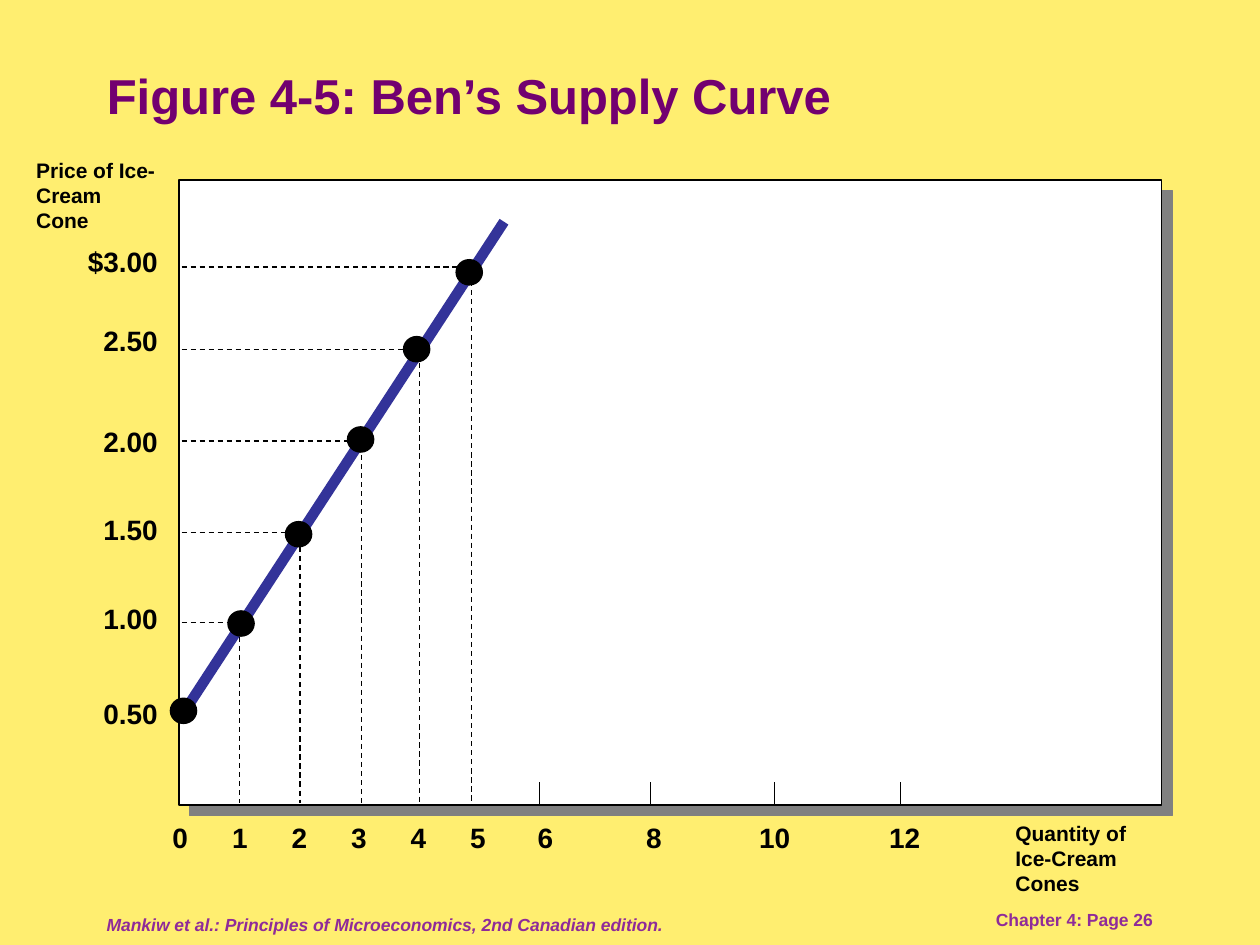
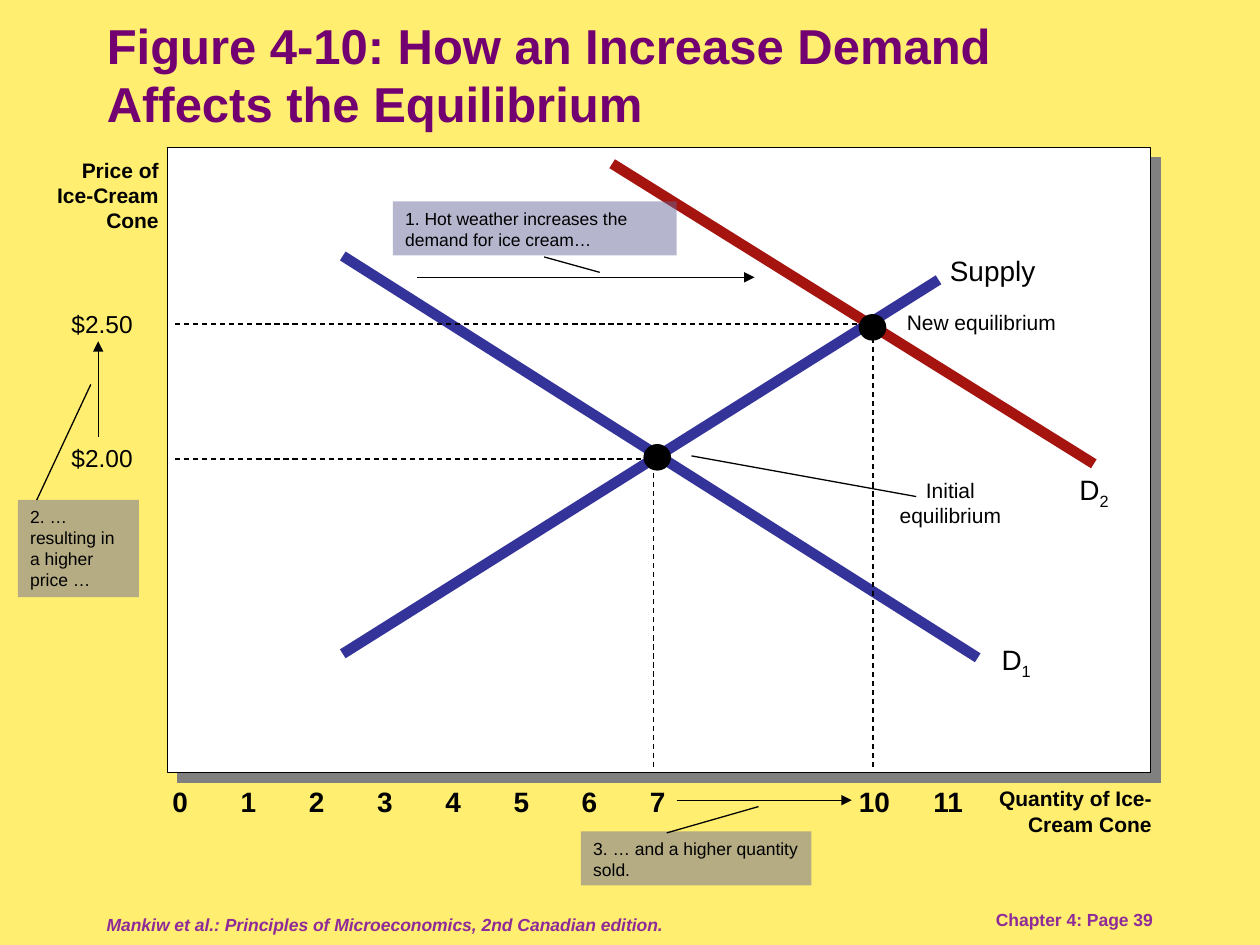
"""Build two economics slides: a supply curve and a shift in demand."""
from dataclasses import dataclass

from lxml.etree import SubElement
from pptx import Presentation
from pptx.dml.color import RGBColor as Rgb
from pptx.enum.dml import MSO_LINE_DASH_STYLE as Dash
from pptx.enum.shapes import MSO_CONNECTOR as Connector, MSO_SHAPE as Shape
from pptx.enum.text import MSO_ANCHOR as Anchor, MSO_AUTO_SIZE as AutoSize, PP_ALIGN as Align
from pptx.oxml import parse_xml
from pptx.oxml.ns import nsdecls, qn
from pptx.util import Cm, Pt


@dataclass(frozen=True)
class Theme:
    font: str = "Arial"
    page: Rgb = Rgb(0xFF, 0xEE, 0x70)
    title: Rgb = Rgb(0x72, 0x00, 0x70)
    footer: Rgb = Rgb(0x8F, 0x2B, 0x99)
    plot: Rgb = Rgb(0xFF, 0xFF, 0xFF)
    ink: Rgb = Rgb(0, 0, 0)
    curve: Rgb = Rgb(0x33, 0x33, 0x99)
    new_curve: Rgb = Rgb(0xA6, 0x14, 0x10)
    callout: Rgb = Rgb(0x66, 0x66, 0x99)
    title_size: int = 28
    label_size: int = 16
    price_size: int = 14
    axis_size: int = 12
    small_size: int = 10
    thin: float = 0.75
    thick: float = 6


theme = Theme()


def add_text(page, at, words, size, bold=False, align=Align.LEFT, color=theme.ink, subscript=""):
    box = page.shapes.add_textbox(*map(Cm, at))
    box.text_frame.word_wrap = True
    para = box.text_frame.paragraphs[0]
    para.text = words
    para.alignment = align
    font = para.font
    font.name, font.size, font.bold, font.color.rgb = theme.font, Pt(size), bold, color
    if subscript:
        span = para.add_run()
        span.text = subscript
        span._r.get_or_add_rPr().set("baseline", "-25000")
    return box


def add_line(page, start, end, color=theme.ink, width=theme.thin, dashed=False, arrow=False):
    line = page.shapes.add_connector(Connector.STRAIGHT, *map(Cm, (*start, *end)))
    line.line.color.rgb = color
    line.line.width = Pt(width)
    if dashed:
        line.line.dash_style = Dash.DASH
    if arrow:
        SubElement(line.line._get_or_add_ln(), qn("a:tailEnd"), type="triangle")
    SubElement(line._element.spPr, qn("a:effectLst"))


deck = Presentation()
deck.slide_width, deck.slide_height = Cm(25.4), Cm(19.05)
background = deck.slide_master.background.fill
background.solid()
background.fore_color.rgb = theme.page

pages = []
for heading, title_top, page_number, plot_left, plot_top in (
    ("Figure 4-5: Ben’s Supply Curve", 1.07, 26, 3.61, 3.63),
    ("Figure 4-10: How an Increase Demand Affects the Equilibrium", 0.64, 39, 3.38, 2.97),
):
    page = deck.slides.add_slide(deck.slide_layouts[5])
    pages.append(page)
    title = page.shapes.title
    title.left, title.top, title.width, title.height = map(Cm, (1.9, title_top, 21.59, 1.7))
    frame = title.text_frame
    frame.text = heading
    frame.word_wrap = True
    frame.auto_size = AutoSize.NONE
    frame.vertical_anchor = Anchor.MIDDLE
    para = frame.paragraphs[0]
    para.alignment = Align.LEFT
    font = para.font
    font.name, font.size, font.bold = theme.font, Pt(theme.title_size), True
    font.color.rgb = theme.title

    source = add_text(page, (1.9, 18.21, 15.04, 0.84),
                      "Mankiw et al.: Principles of Microeconomics, 2nd Canadian edition.",
                      theme.small_size, True, color=theme.footer)
    source.text_frame.vertical_anchor = Anchor.MIDDLE
    source.text_frame.paragraphs[0].font.italic = True
    add_text(page, (18.21, 18.21, 5.28, 0.64), f"Chapter 4: Page {page_number}",
             theme.small_size, True, Align.RIGHT, theme.footer)

    plot = page.shapes.add_shape(Shape.RECTANGLE, *map(Cm, (plot_left, plot_top, 19.81, 12.6)))
    plot.fill.solid()
    plot.fill.fore_color.rgb = theme.plot
    plot.line.color.rgb = theme.ink
    plot.line.width = Pt(theme.thin)
    plot._element.spPr.append(parse_xml(
        f'<a:effectLst {nsdecls("a")}><a:outerShdw dist="107950" dir="2700000" algn="ctr" '
        'rotWithShape="0"><a:srgbClr val="808080"/></a:outerShdw></a:effectLst>'))

supply_page, demand_page = pages

for page, at, words, align in (
    (supply_page, (0.48, 3.05, 2.97, 1.78), "Price of Ice-Cream Cone", Align.LEFT),
    (supply_page, (20.22, 16.41, 3.43, 1.78), "Quantity of Ice-Cream Cones", Align.LEFT),
    (demand_page, (0.58, 3.05, 2.87, 1.78), "Price of Ice-Cream Cone", Align.RIGHT),
    (demand_page, (19.41, 15.72, 4.06, 1.27), "Quantity of Ice-Cream Cone", Align.RIGHT),
):
    add_text(page, at, words, theme.axis_size, True, align)

supply_ticks = [(q, 4.04 + 1.2 * q) for q in range(6)]
supply_ticks += [(6, 11.4), (8, 13.59), (10, 16.18), (12, 18.8)]
demand_ticks = [(q, 4.04 + 1.375 * q) for q in range(8)] + [(10, 18.19), (11, 19.66)]
for page, top, ticks in ((supply_page, 16.41, supply_ticks), (demand_page, 15.7, demand_ticks)):
    for quantity, right in ticks:
        add_text(page, (right - 1.5, top, 1.5, 0.94), str(quantity),
                 theme.label_size, True, Align.RIGHT)
for tick_x in (10.87, 13.11, 15.62, 18.16):
    add_line(supply_page, (tick_x, 15.77), (tick_x, 16.2))

for page, start, end, color in (
    (supply_page, (10.16, 4.47), (3.66, 14.43), theme.curve),
    (demand_page, (6.91, 5.16), (19.71, 13.26), theme.curve),
    (demand_page, (6.91, 13.18), (18.92, 5.64), theme.curve),
    (demand_page, (12.34, 3.3), (22.05, 9.35), theme.new_curve),
):
    add_line(page, start, end, color, theme.thick)

for price, label_top in (("$3.00", 4.8), ("2.50", 6.4), ("2.00", 8.43),
                         ("1.50", 10.21), ("1.00", 12.01), ("0.50", 13.92)):
    add_text(supply_page, (0.05, label_top, 3.38, 0.94), price,
             theme.label_size, True, Align.RIGHT)
for price, label_top in (("$2.50", 6.1), ("$2.00", 8.81)):
    add_text(demand_page, (1.19, label_top, 2.26, 0.84), price, theme.price_size)

for page, axis_left, axis_bottom, guide_x, guide_y in (
    (supply_page, 3.66, 16.18, 4.83, 12.55),
    (supply_page, 3.66, 16.18, 6.05, 10.74),
    (supply_page, 3.66, 16.18, 7.29, 8.89),
    (supply_page, 3.66, 16.18, 8.46, 7.04),
    (supply_page, 3.66, 16.18, 9.5, 5.38),
    (demand_page, 3.53, 15.49, 13.18, 9.25),
    (demand_page, 3.53, 15.49, 17.6, 6.53),
):
    add_line(page, (axis_left, guide_y), (guide_x, guide_y), dashed=True)
    add_line(page, (guide_x, guide_y + 0.1), (guide_x, axis_bottom), dashed=True)

dot_width, dot_height = 0.53, 0.51
for page, centers in (
    (supply_page, ((3.7, 14.33), (4.86, 12.57), (6.02, 10.77),
                   (7.27, 8.86), (8.4, 7.04), (9.46, 5.49))),
    (demand_page, ((13.25, 9.22), (17.59, 6.6))),
):
    for x, y in centers:
        dot = page.shapes.add_shape(Shape.OVAL, Cm(x - dot_width / 2), Cm(y - dot_height / 2),
                                    Cm(dot_width), Cm(dot_height))
        dot.shadow.inherit = False
        dot.fill.solid()
        dot.fill.fore_color.rgb = theme.ink
        dot.line.color.rgb = theme.ink
        dot.line.width = Pt(theme.thin)

for at, words, subscript in (
    ((18.9, 4.98, 2.97, 0.94), "Supply", ""),
    ((19.94, 12.83, 1.47, 0.94), "D", "1"),
    ((21.51, 9.4, 1.47, 0.94), "D", "2"),
):
    add_text(demand_page, at, words, theme.label_size, subscript=subscript)
add_text(demand_page, (18.03, 6.12, 3.68, 0.76), "New equilibrium", theme.axis_size)
add_text(demand_page, (17.75, 9.5, 2.82, 1.27), "Initial equilibrium",
         theme.axis_size, align=Align.CENTER)
add_line(demand_page, (18.47, 10.01), (13.94, 9.19))

for at, words, leader_start, leader_end, arrow_start, arrow_end in (
    ((7.92, 4.06, 5.72, 1.09), "1. Hot weather increases the demand for ice cream…",
     (10.97, 5.18), (12.09, 5.49), (8.41, 5.59), (15.21, 5.59)),
    ((0.36, 10.08, 2.44, 1.96), "2. … resulting in a higher price …",
     (0.74, 10.08), (1.83, 7.75), (1.98, 8.81), (1.98, 6.88)),
    ((11.71, 16.76, 4.65, 1.09), "3. … and a higher quantity sold.",
     (13.44, 16.79), (15.29, 16.26), (13.64, 16.13), (17.17, 16.13)),
):
    callout = add_text(demand_page, at, words, theme.small_size)
    callout.fill.solid()
    callout.fill.fore_color.rgb = theme.callout
    tint = callout._element.spPr.find(qn("a:solidFill")).find(qn("a:srgbClr"))
    SubElement(tint, qn("a:alpha"), val="48000")
    add_line(demand_page, leader_start, leader_end)
    add_line(demand_page, arrow_start, arrow_end, arrow=True)

deck.save("out.pptx")
